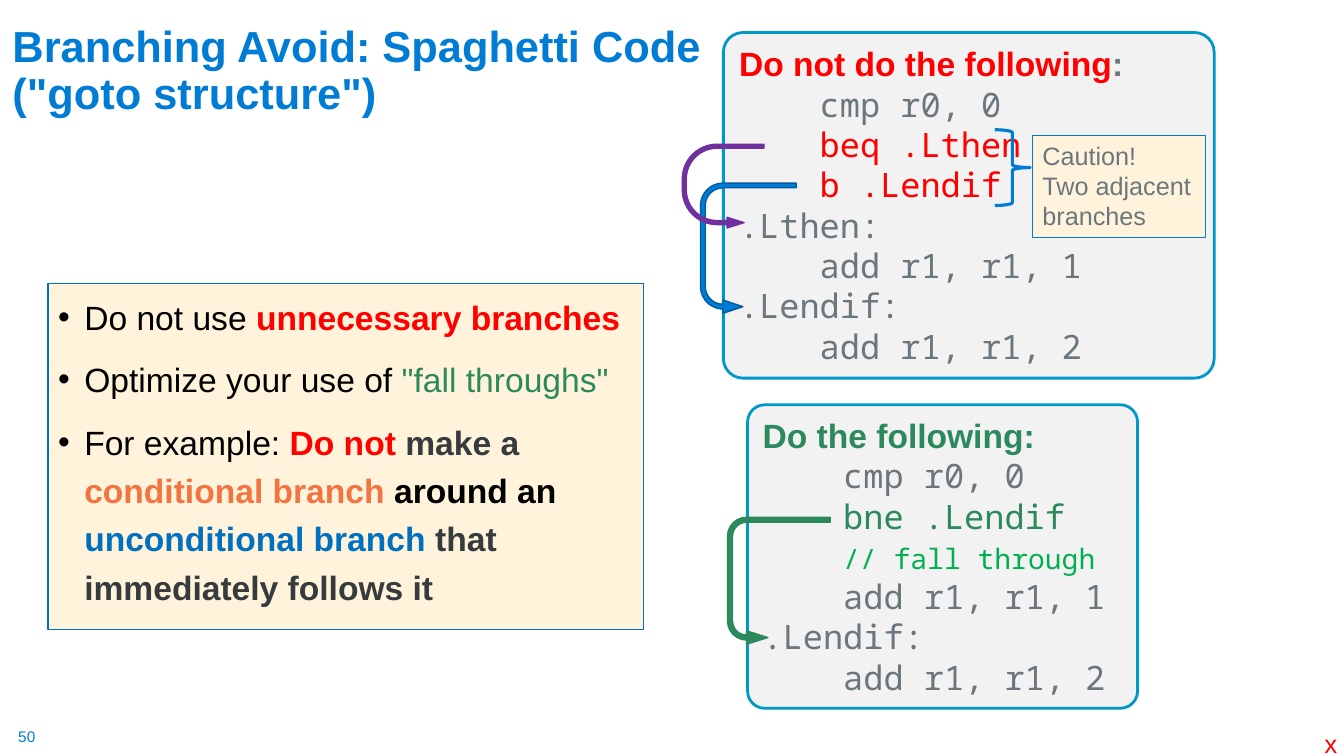
"""Build a slide on avoiding spaghetti branches in assembly code."""
from dataclasses import dataclass

from pptx import Presentation
from pptx.dml.color import RGBColor
from pptx.enum.shapes import MSO_SHAPE as Kind
from pptx.enum.text import MSO_ANCHOR as Anchor, MSO_AUTO_SIZE as Fit, PP_ALIGN as Align
from pptx.shapes.autoshape import Shape
from pptx.text.text import TextFrame as Frame
from pptx.util import Cm, Pt

BLUE = RGBColor(0x00, 0x7C, 0xD5)
NAVY = RGBColor(0x00, 0x5C, 0x9E)
AZURE = RGBColor(0x00, 0x70, 0xC0)
TEAL = RGBColor(0x00, 0x98, 0xC9)
RED = RGBColor(0xFF, 0x00, 0x00)
GREEN = RGBColor(0x2C, 0x89, 0x5B)
LIME = RGBColor(0x00, 0xB0, 0x50)
PURPLE = RGBColor(0x70, 0x30, 0xA0)
ORANGE = RGBColor(0xF3, 0x74, 0x40)
GRAY = RGBColor(0x6B, 0x76, 0x7D)
DARK = RGBColor(0x36, 0x3B, 0x3E)
BLACK = RGBColor(0x00, 0x00, 0x00)
CREAM = RGBColor(0xFF, 0xF4, 0xDB)
PALE = RGBColor(0xF2, 0xF2, 0xF2)
SANS, MONO = "Arial", "Noto Sans Mono"


@dataclass(frozen=True)
class Box:
    """Place of an item in centimetres."""
    left: float
    top: float
    width: float
    height: float

    def lengths(self) -> tuple[Cm, Cm, Cm, Cm]:
        return Cm(self.left), Cm(self.top), Cm(self.width), Cm(self.height)


@dataclass(frozen=True)
class Bit:
    """A stretch of text in one style."""
    text: str
    color: RGBColor = GRAY
    bold: bool = False
    size: float = 24
    font: str = SANS


@dataclass(frozen=True)
class Panel:
    """A rounded box of sample code."""
    box: Box
    head: list[Bit]
    code: list[list[Bit]]


@dataclass(frozen=True)
class Turn:
    """A U-turn arrow that marks a jump."""
    box: Box
    fill: RGBColor
    line: RGBColor
    head: float
    reach: float


def code(text: str, color: RGBColor = GRAY, size: float = 24) -> Bit:
    return Bit(text, color, size=size, font=MONO)


PANELS = [
    Panel(Box(18.23, 0.82, 12.37, 8.71),
          [Bit("Do not do the following", RED, True), Bit(":", GRAY, True)],
          [[code("    cmp r0, 0")], [code("    beq .Lthen", RED)],
           [code("    b .Lendif", RED)], [code(".Lthen:")],
           [code("    add r1, r1, 1")], [code(".Lendif:")],
           [code("    add r1, r1, 2")]]),
    Panel(Box(18.84, 10.2, 9.83, 7.65),
          [Bit("Do the following:", GREEN, True)],
          [[code("    cmp r0, 0")], [code("    bne .Lendif", GREEN)],
           [code("    ", LIME), code("// fall through", LIME, 20)],
           [code("    add r1, r1, 1")], [code(".Lendif:")],
           [code("    add r1, r1, 2")]]),
]
TURNS = [
    Turn(Box(17.22, 5.05, 3.28, 2.41), BLUE, NAVY, 0.069, 0.443),
    Turn(Box(17.17, 3.66, 2.11, 2.06), PURPLE, PURPLE, 0.065, 0.757),
    Turn(Box(18.03, 13.34, 3.2, 2.59), GREEN, GREEN, 0.065, 0.393),
]
POINTS = [
    [Bit("Do not use ", BLACK), Bit("unnecessary branches", RED, True)],
    [Bit("Optimize your use of ", BLACK), Bit('"fall throughs"', GREEN)],
    [Bit("For example: ", BLACK), Bit("Do not ", RED, True),
     Bit("make a ", DARK, True), Bit("conditional branch ", ORANGE, True),
     Bit("around an ", BLACK, True), Bit("unconditional branch ", AZURE, True),
     Bit("that immediately follows it", DARK, True)],
]
LABELS = [
    (Box(0.46, 18.33, 0.48, 0.48), Bit("50", BLUE, size=11)),
    (Box(33.38, 18.36, 0.45, 0.69), Bit("x", RED, size=18)),
]


def place(shape: Shape, box: Box) -> None:
    shape.left, shape.top, shape.width, shape.height = box.lengths()


def paint(shape: Shape, fill: RGBColor, line: RGBColor, width: float) -> None:
    shape.fill.solid()
    shape.fill.fore_color.rgb = fill
    shape.line.color.rgb = line
    shape.line.width = Pt(width)


def write(frame: Frame, lines: list[list[Bit]]) -> None:
    frame.word_wrap = True
    frame.auto_size = Fit.NONE
    frame.vertical_anchor = Anchor.TOP
    for index, bits in enumerate(lines):
        para = frame.add_paragraph() if index else frame.paragraphs[0]
        para.alignment = Align.LEFT
        for bit in bits:
            for row, text in enumerate(bit.text.split("\n")):
                if row:
                    para.add_line_break()
                run = para.add_run()
                run.text = text
                run.font.name, run.font.size = bit.font, Pt(bit.size)
                run.font.bold, run.font.color.rgb = bit.bold, bit.color


def draw_title(title: Shape) -> None:
    place(title, Box(0.06, 1.6, 29.21, 1.52))
    write(title.text_frame, [[Bit('Branching Avoid: Spaghetti Code\n("goto structure")',
                                  BLUE, True, 31)]])
    title.text_frame.vertical_anchor = Anchor.BOTTOM
    title.text_frame.paragraphs[0].line_spacing = 0.9


def draw_points(body: Shape) -> None:
    place(body, Box(1.21, 7.15, 15.01, 8.71))
    paint(body, CREAM, AZURE, 0.75)
    write(body.text_frame, POINTS)
    for index, para in enumerate(body.text_frame.paragraphs):
        para.line_spacing = 1.2
        para.space_before = Pt(10 if index else 0)
        props = para._p.get_or_add_pPr()
        props.set("marL", str(Cm(0.66)))
        props.set("indent", str(Cm(-0.66)))


def draw_panel(shapes, panel: Panel) -> None:
    shape = shapes.add_shape(Kind.ROUNDED_RECTANGLE, *panel.box.lengths())
    shape.shadow.inherit = False
    shape.adjustments[0] = 0.057
    paint(shape, PALE, TEAL, 2)
    write(shape.text_frame, [panel.head, *panel.code])


def draw_turn(shapes, turn: Turn) -> None:
    shape = shapes.add_shape(Kind.U_TURN_ARROW, *turn.box.lengths())
    shape.shadow.inherit = False
    for index, value in enumerate((0.049, turn.head, 0.208, 0.425, turn.reach)):
        shape.adjustments[index] = value
    paint(shape, turn.fill, turn.line, 1)
    shape.rotation = 90
    shape._element.spPr.xfrm.set("flipV", "1")


def draw_note(shapes) -> None:
    brace = shapes.add_shape(Kind.RIGHT_BRACE, *Box(25.07, 3.27, 0.89, 1.91).lengths())
    brace.shadow.inherit = False
    brace.fill.background()
    brace.line.color.rgb = BLUE
    brace.line.width = Pt(2.25)
    note = shapes.add_shape(Kind.RECTANGLE, *Box(26.02, 3.41, 4.37, 2.57).lengths())
    note.shadow.inherit = False
    paint(note, CREAM, BLUE, 0.75)
    write(note.text_frame, [[Bit("Caution!", size=18)],
                            [Bit("Two adjacent branches", size=18)]])


def draw_label(shapes, box: Box, bit: Bit) -> None:
    frame = shapes.add_textbox(*box.lengths()).text_frame
    frame.margin_left = frame.margin_right = frame.margin_top = frame.margin_bottom = 0
    write(frame, [[bit]])


def main() -> None:
    deck = Presentation()
    deck.slide_width, deck.slide_height = Cm(33.87), Cm(19.05)
    slide = deck.slides.add_slide(deck.slide_layouts[1])
    shapes = slide.shapes
    draw_title(shapes.title)
    draw_points(slide.placeholders[1])
    for panel in PANELS:
        draw_panel(shapes, panel)
    for turn in TURNS:
        draw_turn(shapes, turn)
    draw_note(shapes.add_group_shape().shapes)
    for box, bit in LABELS:
        draw_label(shapes, box, bit)
    deck.save("out.pptx")


if __name__ == "__main__":
    main()
